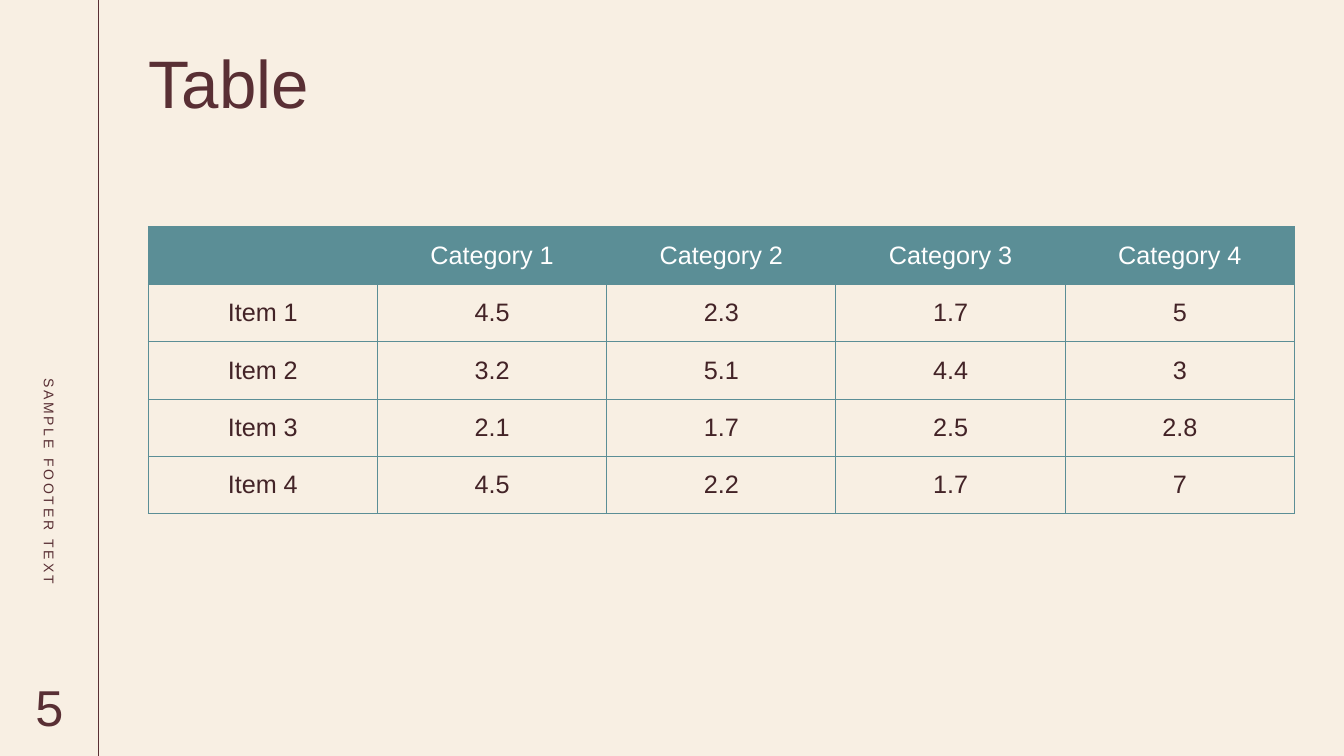
from pptx import Presentation
from pptx.dml.color import RGBColor as Rgb
from pptx.enum.shapes import MSO_CONNECTOR as Conn
from pptx.enum.text import MSO_ANCHOR as Anchor, MSO_AUTO_SIZE as Fit, PP_ALIGN as Align
from pptx.oxml import parse_xml
from pptx.oxml.ns import nsdecls
from pptx.util import Inches as In, Pt

WIDE, HIGH = 13.33, 7.5
RAIL = 0.98
EDGE = RAIL * 1.5
SPAN = WIDE - EDGE - RAIL / 2
CREAM, WINE, DARK, TEAL, WHITE = "F8EFE3", "592F34", "432327", "5B8E96", "FFFFFF"
ROWS = [
    ("", "Category 1", "Category 2", "Category 3", "Category 4"),
    ("Item 1", "4.5", "2.3", "1.7", "5"),
    ("Item 2", "3.2", "5.1", "4.4", "3"),
    ("Item 3", "2.1", "1.7", "2.5", "2.8"),
    ("Item 4", "4.5", "2.2", "1.7", "7"),
]


def tint(hue):
    """Turn a hex string into a colour."""
    return Rgb.from_string(hue)


def write(frame, text, size, hue, align, anchor):
    """Fill a text frame with one styled line."""
    frame.text = text
    frame.vertical_anchor = anchor
    line = frame.paragraphs[0]
    line.alignment = align
    for run in line.runs:
        font = run.font
        font.name, font.size, font.bold = "Arial", Pt(size), False
        font.color.rgb = tint(hue)


def bare(frame, top=0):
    """Clear the margins of a frame and keep its size fixed."""
    frame.margin_left = frame.margin_right = frame.margin_bottom = 0
    frame.margin_top = In(top)
    frame.word_wrap = True
    frame.auto_size = Fit.NONE


def label(slide, box, text, size, align):
    """Add a text box with one centred-height line."""
    shape = slide.shapes.add_textbox(*map(In, box))
    bare(shape.text_frame)
    write(shape.text_frame, text, size, WINE, align, Anchor.MIDDLE)
    return shape


def rail(slide, wide, high):
    """Draw the left rail with its rule, footer and page number."""
    rule = slide.shapes.add_connector(Conn.STRAIGHT, In(wide), 0, In(wide), In(high))
    rule.line.color.rgb = tint(WINE)
    rule.line.width = Pt(0.75)
    rule._element.spPr.append(parse_xml(f"<a:effectLst {nsdecls('a')}/>"))
    long, mid = 2.76, 5.13
    foot = label(slide, ((wide - long) / 2, mid - wide / 2, long, wide),
                 "SAMPLE FOOTER TEXT", 10, Align.LEFT)
    foot.rotation = 90
    run = foot.text_frame.paragraphs[0].runs[0]
    run.font._element.set("spc", "200")
    label(slide, (0, high - wide, wide, wide), "5", 36, Align.CENTER)


def head(slide, left, top, wide, high):
    """Place the title."""
    title = slide.shapes.title
    title.left, title.top, title.width, title.height = map(In, (left, top, wide, high))
    bare(title.text_frame, 0.06)
    write(title.text_frame, "Table", 48, WINE, Align.LEFT, Anchor.TOP)


def edge(cell):
    """Draw thin teal borders around a cell."""
    props = cell._tc.get_or_add_tcPr()
    for side in "LRTB":
        props.append(parse_xml(
            f'<a:ln{side} {nsdecls("a")} w="{Pt(0.75)}"><a:solidFill>'
            f'<a:srgbClr val="{TEAL}"/></a:solidFill></a:ln{side}>'))


def grid(slide, left, top, wide, high):
    """Build the table in even columns and rows."""
    box = map(In, (left, top, wide, high))
    table = slide.shapes.add_table(len(ROWS), len(ROWS[0]), *box).table
    table.first_row = table.horz_banding = False
    for r, row in enumerate(ROWS):
        for c, text in enumerate(row):
            cell = table.cell(r, c)
            write(cell.text_frame, text, 18, DARK if r else WHITE,
                  Align.CENTER, Anchor.MIDDLE)
            cell.vertical_anchor = Anchor.MIDDLE
            edge(cell)
            if r:
                cell.fill.background()
            else:
                cell.fill.solid()
                cell.fill.fore_color.rgb = tint(TEAL)


def main():
    """Build and save the slide."""
    deck = Presentation()
    deck.slide_width, deck.slide_height = In(WIDE), In(HIGH)
    slide = deck.slides.add_slide(deck.slide_layouts[5])
    fill = slide.background.fill
    fill.solid()
    fill.fore_color.rgb = tint(CREAM)
    rail(slide, RAIL, HIGH)
    head(slide, EDGE, 0.35, SPAN, 1.38)
    grid(slide, EDGE, HIGH * 0.3, SPAN, HIGH * 0.38)
    deck.save("out.pptx")


if __name__ == "__main__":
    main()
